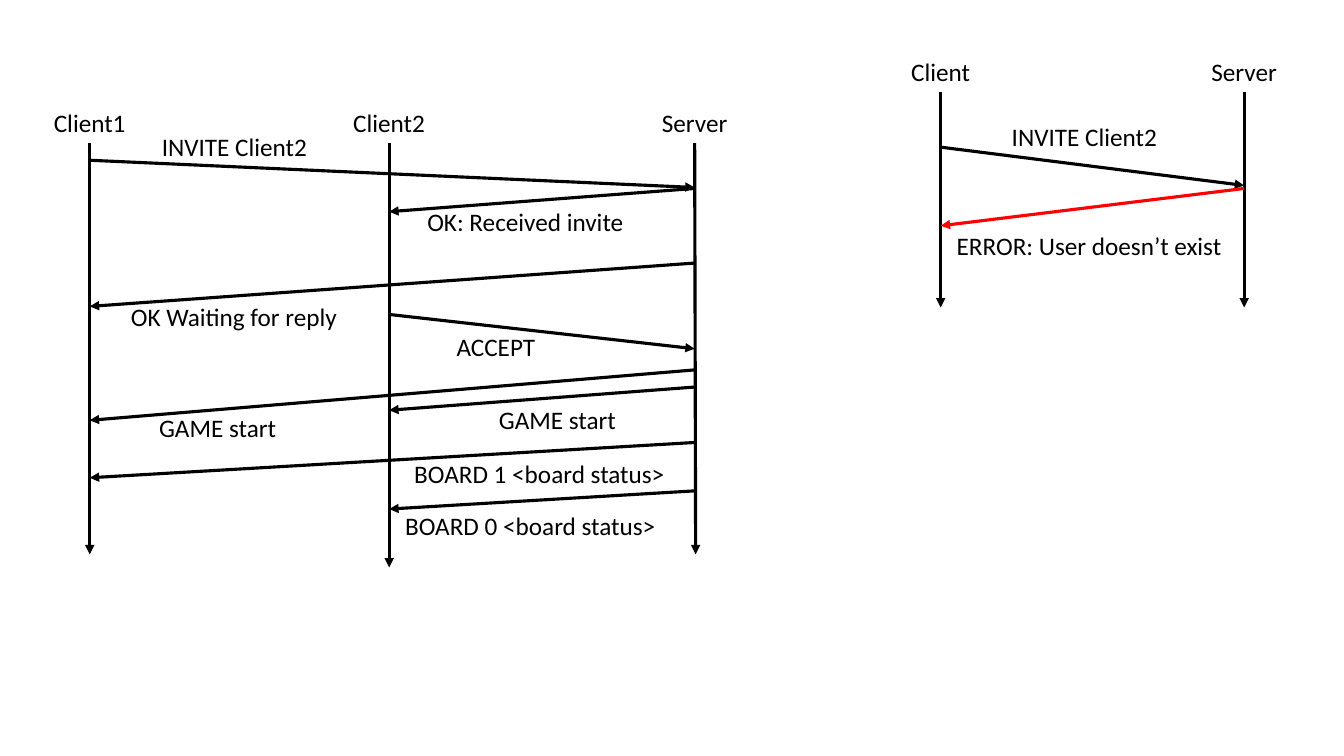
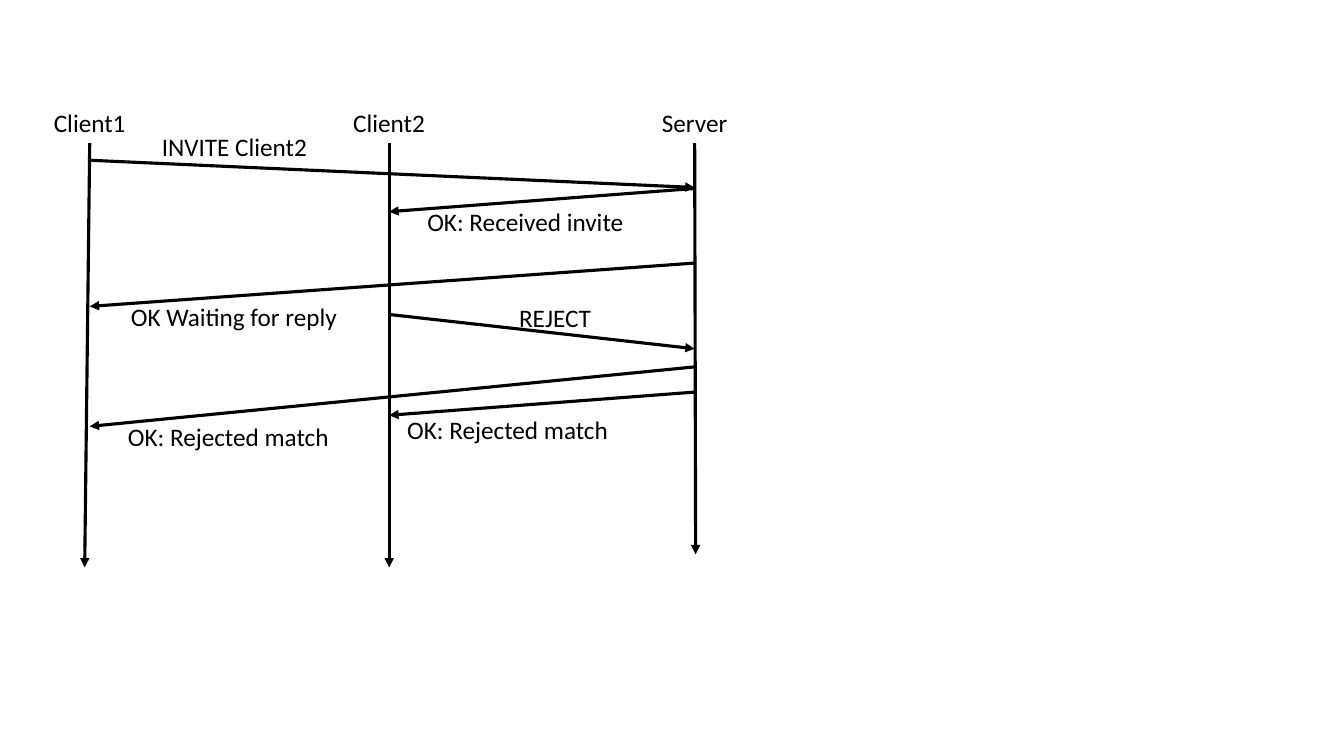
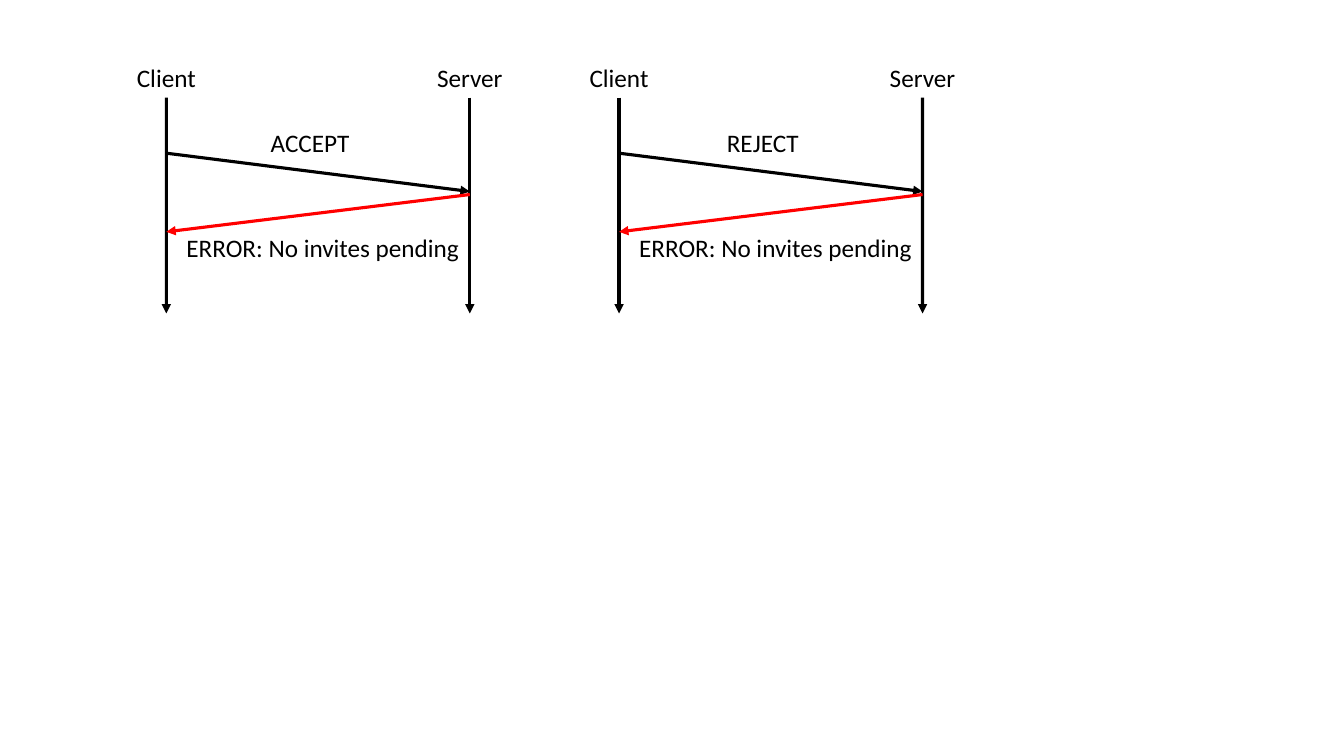
from dataclasses import dataclass

from lxml.etree import SubElement
from pptx import Presentation
from pptx.dml.color import RGBColor
from pptx.enum.shapes import MSO_CONNECTOR as Connector
from pptx.enum.text import MSO_AUTO_SIZE as AutoSize, PP_ALIGN as Align
from pptx.oxml.ns import qn
from pptx.util import Inches, Pt

COLORS = {"ink": "000000", "error": "FF0000"}
FONT_FORMAT = {"name": "Calibri", "size": Pt(18)}
FRAME_FORMAT = {"word_wrap": True, "auto_size": AutoSize.SHAPE_TO_FIT_TEXT}
LINE_WIDTH = Pt(2.25)
LABEL_HEIGHT = 0.4
PARTY_WIDTH = 1.13


@dataclass
class Lifeline:
    """A participant, with its line's offsets from the panel's corner."""
    x: float
    end_y: float
    end_x: float


@dataclass
class Message:
    """An arrow between two participants and the box of its label."""
    sender: str
    receiver: str
    start_y: float
    end_y: float
    text: str
    label_left: float
    label_top: float
    label_width: float = 2.53
    align: Align = Align.LEFT
    color: str = "ink"


def set_attributes(target, values):
    """Set every attribute of a format dict on the target."""
    for name, value in values.items():
        setattr(target, name, value)


def add_label(slide, text, left, top, width, align):
    """Add one line of text in a box and return the box."""
    label = slide.shapes.add_textbox(
        Inches(left), Inches(top), Inches(width), Inches(LABEL_HEIGHT))
    set_attributes(label.text_frame, FRAME_FORMAT)
    paragraph = label.text_frame.paragraphs[0]
    paragraph.alignment = align
    run = paragraph.add_run()
    run.text = text
    set_attributes(run.font, FONT_FORMAT)
    run.font.color.rgb = RGBColor.from_string(COLORS["ink"])
    return label


def add_arrow(slide, start, end, color="ink"):
    """Add a straight arrow with a triangular head and return it."""
    arrow = slide.shapes.add_connector(
        Connector.STRAIGHT, *(Inches(value) for value in (*start, *end)))
    arrow.line.color.rgb = RGBColor.from_string(COLORS[color])
    arrow.line.width = LINE_WIDTH
    SubElement(arrow.get_or_add_ln(), qn("a:tailEnd"), type="triangle")
    SubElement(arrow._element.spPr, qn("a:effectLst"))
    return arrow


def add_sequence(slide, left, top, lifelines, messages):
    """Draw a sequence diagram from the corner of its box."""
    for name, lifeline in lifelines.items():
        x = left + lifeline.x
        party = add_label(slide, name, x - PARTY_WIDTH / 2, top,
                          PARTY_WIDTH, Align.CENTER)
        arrow = add_arrow(slide, (x, top + LABEL_HEIGHT),
                          (left + lifeline.end_x, top + lifeline.end_y))
        arrow.begin_connect(party, 2)
    for message in messages:
        add_arrow(slide,
                  (left + lifelines[message.sender].x, top + message.start_y),
                  (left + lifelines[message.receiver].x, top + message.end_y),
                  message.color)
        add_label(slide, message.text, left + message.label_left,
                  top + message.label_top, message.label_width, message.align)


def add_invitation(slide, left, top, client1_end, answers):
    """Draw an invitation between two clients, followed by its answers."""
    lifelines = {
        "Client1": Lifeline(0.5, client1_end[1], client1_end[0]),
        "Client2": Lifeline(3.47, 4.61, 3.47),
        "Server": Lifeline(6.5, 4.48, 6.51),
    }
    opening = [
        Message("Client1", "Server", 0.57, 0.84, "INVITE Client2",
                0.61, 0.23, 2.65, Align.CENTER),
        Message("Server", "Client2", 0.85, 1.08, "OK: Received invite", 3.75, 0.98),
        Message("Server", "Client1", 1.59, 2.02, "OK Waiting for reply", 0.81, 1.92),
    ]
    add_sequence(slide, left, top, lifelines, opening + answers)


def add_error_exchange(slide, left, top, request, error,
                       error_left=0.56, error_top=1.69, error_width=3.01):
    """Draw a client's request that the server answers with an error."""
    lifelines = {"Client": Lifeline(0.46, 2.54, 0.46),
                 "Server": Lifeline(3.47, 2.54, 3.47)}
    add_sequence(slide, left, top, lifelines, [
        Message("Client", "Server", 0.95, 1.33, request,
                0.56, 0.64, 2.65, Align.CENTER),
        Message("Server", "Client", 1.36, 1.73, error,
                error_left, error_top, error_width, color="error"),
    ])


def add_accept_slide(slide):
    """Show an accepted invitation and an invitation to an unknown user."""
    add_invitation(slide, 0.39, 1.02, (0.5, 4.48), [
        Message("Client2", "Server", 2.1, 2.44, "ACCEPT", 4.04, 2.22),
        Message("Server", "Client1", 2.65, 3.15, "GAME start", 1.09, 3.02),
        Message("Server", "Client2", 2.82, 3.05, "GAME start", 4.46, 2.94),
        Message("Server", "Client1", 3.37, 3.72, "BOARD 1 <board status>",
                3.62, 3.48, 3.88),
        Message("Server", "Client2", 3.85, 4.03, "BOARD 0 <board status>",
                3.53, 3.99, 5.1),
    ])
    add_error_exchange(slide, 8.87, 0.51, "INVITE Client2",
                       "ERROR: User doesn’t exist", 0.52, 1.73, 2.89)


def add_reject_slide(slide):
    """Show a rejected invitation."""
    add_invitation(slide, 0.39, 1.02, (0.45, 4.61), [
        Message("Client2", "Server", 2.1, 2.44, "REJECT", 4.66, 1.93),
        Message("Server", "Client1", 2.62, 3.21, "OK: Rejected match", 0.78, 3.11),
        Message("Server", "Client2", 2.87, 3.1, "OK: Rejected match", 3.55, 3.04),
    ])


def add_no_invite_slide(slide):
    """Show both answers failing when no invitation is pending."""
    for left, request in ((1.19, "ACCEPT"), (5.68, "REJECT")):
        add_error_exchange(slide, left, 0.57, request, "ERROR: No invites pending")


def main():
    """Build the presentation and save it."""
    presentation = Presentation()
    presentation.slide_width = Inches(13.33)
    presentation.slide_height = Inches(7.5)
    for build in (add_accept_slide, add_reject_slide, add_no_invite_slide):
        build(presentation.slides.add_slide(presentation.slide_layouts[6]))
    presentation.save("out.pptx")


if __name__ == "__main__":
    main()
